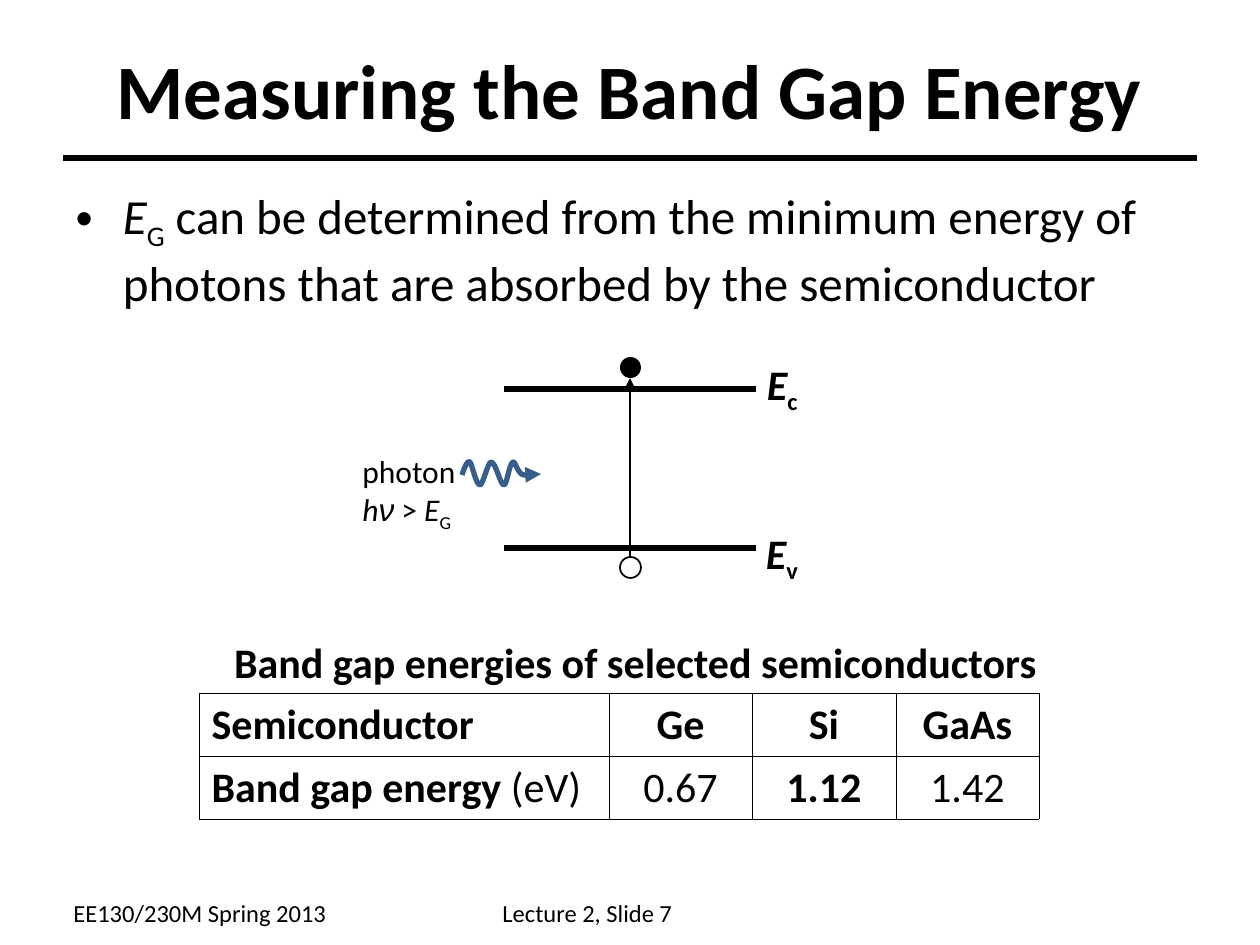
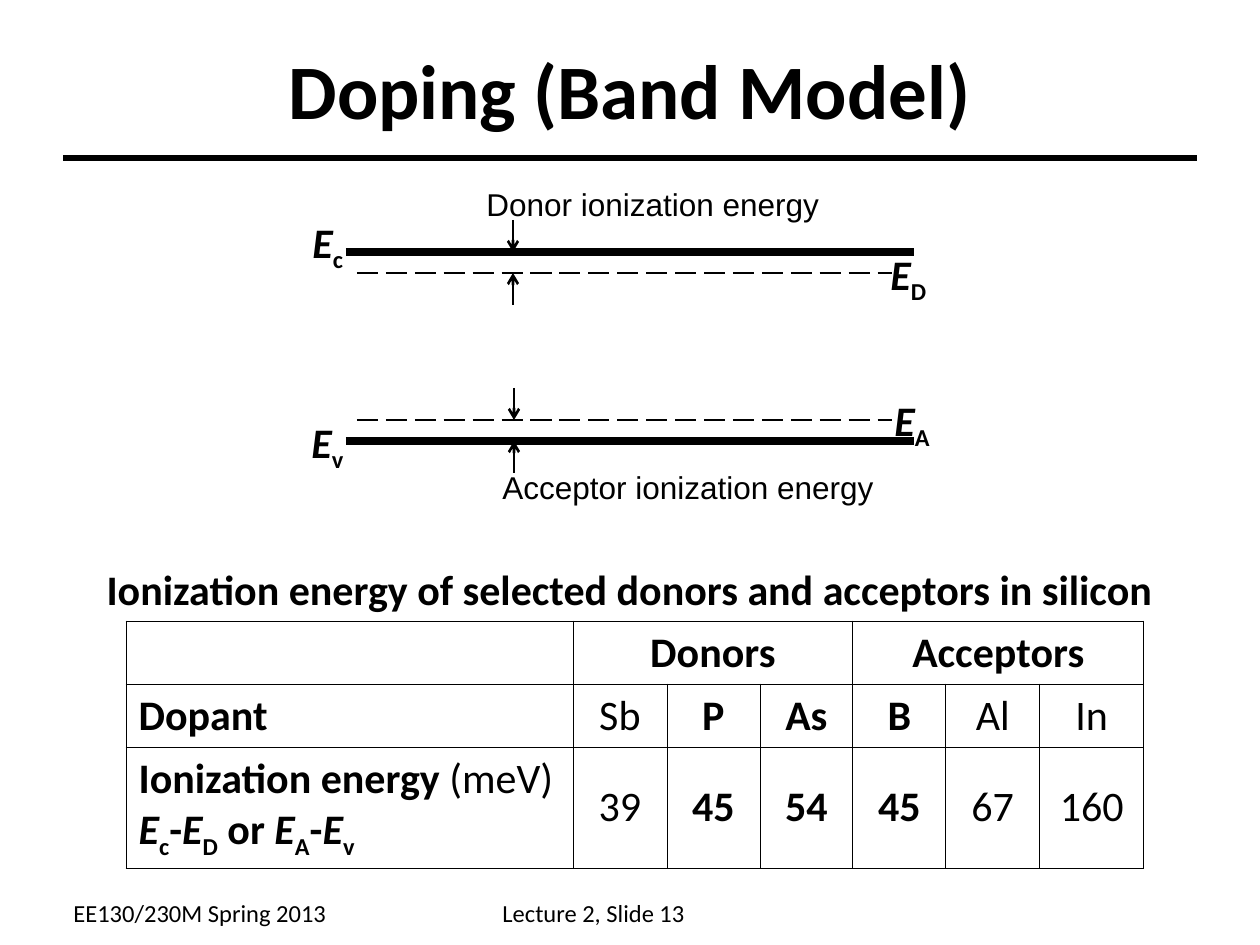
from dataclasses import dataclass
from typing import Optional

from lxml import etree
from pptx import Presentation
from pptx import util as u
from pptx.dml.color import RGBColor
from pptx.enum import dml, shapes, text
from pptx.oxml import ns

PX = 914400 / 126


@dataclass(frozen=True)
class Theme:
    ink: RGBColor = RGBColor(0, 0, 0)
    paper: RGBColor = RGBColor(255, 255, 255)
    photon: RGBColor = RGBColor(0x38, 0x5D, 0x8A)
    font: str = "Calibri"
    plain_font: str = "Arial"
    title: int = 44
    body: int = 28
    label: int = 24
    note: int = 18
    footer: int = 14
    cell_border: float = 0.45


@dataclass(frozen=True)
class Run:
    text: str
    bold: Optional[bool] = None
    italic: Optional[bool] = None
    subscript: bool = False
    font: Optional[str] = None


THEME = Theme()


def px(*lengths):
    return [u.Emu(round(length * PX)) for length in lengths]


def symbol(letter, index):
    return [Run(letter, italic=True), Run(index, subscript=True)]


def write(paragraph, content, size, bold=False, align=text.PP_ALIGN.LEFT, font=THEME.font):
    """Fill a paragraph from a string or a list of strings and Runs."""
    paragraph.alignment = align
    paragraph.font.name = font
    paragraph.font.size = u.Pt(size)
    paragraph.font.bold = bold
    paragraph.font.color.rgb = THEME.ink
    for item in [content] if isinstance(content, str) else content:
        part = Run(item) if isinstance(item, str) else item
        run = paragraph.add_run()
        run.text = part.text
        if part.bold is not None:
            run.font.bold = part.bold
        if part.italic is not None:
            run.font.italic = part.italic
        if part.font:
            run.font.name = part.font
        if part.subscript:
            run._r.get_or_add_rPr().set("baseline", "-25000")


def write_lines(frame, lines, size, **style):
    for number, line in enumerate(lines):
        paragraph = frame.add_paragraph() if number else frame.paragraphs[0]
        write(paragraph, line, size, **style)


def add_text(slide, box, lines, size, wrap=False, inset=True, **style):
    frame = slide.shapes.add_textbox(*px(*box)).text_frame
    frame.word_wrap = wrap
    frame.auto_size = text.MSO_AUTO_SIZE.SHAPE_TO_FIT_TEXT
    if not inset:
        frame.margin_left = frame.margin_right = 0
        frame.margin_top = frame.margin_bottom = 0
    write_lines(frame, lines, size, **style)


def fill_placeholder(placeholder, box, content, size, **style):
    placeholder.left, placeholder.top, placeholder.width, placeholder.height = px(*box)
    frame = placeholder.text_frame
    frame.auto_size = text.MSO_AUTO_SIZE.NONE
    paragraph = frame.paragraphs[0]
    paragraph.space_before = u.Pt(0)
    write(paragraph, content, size, **style)


def style_line(line, color, width, arrow=None, dash=None):
    line.color.rgb = color
    line.width = u.Pt(width)
    if dash:
        line.dash_style = dash
    if arrow:
        etree.SubElement(line._get_or_add_ln(), ns.qn("a:tailEnd"), type=arrow)


def add_line(slide, start, end, width, arrow=None, dash=None):
    connector = slide.shapes.add_connector(
        shapes.MSO_CONNECTOR.STRAIGHT, *px(*start, *end))
    style_line(connector.line, THEME.ink, width, arrow, dash)
    etree.SubElement(connector._element.spPr, ns.qn("a:effectLst"))


def add_carrier(slide, x, y, filled):
    """Draw an electron (filled) or a hole (open)."""
    carrier = slide.shapes.add_shape(shapes.MSO_SHAPE.OVAL, *px(x, y, 21, 21))
    carrier.shadow.inherit = False
    carrier.fill.solid()
    carrier.fill.fore_color.rgb = THEME.ink if filled else THEME.paper
    if filled:
        carrier.line.fill.background()
    else:
        style_line(carrier.line, THEME.ink, 1)


def bezier(start, first, second, end, steps=8):
    """Return points along a cubic curve, leaving out its start."""
    points = []
    for step in range(1, steps + 1):
        t = step / steps
        s = 1 - t
        points.append(px(*(
            s**3 * a + 3 * s * s * t * b + 3 * s * t * t * c + t**3 * d
            for a, b, c, d in zip(start, first, second, end))))
    return points


def add_photon_wave(slide):
    start = (462, 475)
    curves = [
        ((464, 469), (467, 460), (470, 462)),
        ((472, 464), (476, 485), (480, 485)),
        ((483, 485), (488, 462), (491, 462)),
        ((496, 462), (500, 485), (504, 485)),
        ((507, 485), (509, 464), (513, 462)),
        ((515, 460), (518, 475), (524, 475)),
        ((532, 474), (533, 475), (541, 474)),
    ]
    builder = slide.shapes.build_freeform(*px(*start))
    for first, second, end in curves:
        builder.add_line_segments(bezier(start, first, second, end), close=False)
        start = end
    wave = builder.convert_to_shape()
    wave.shadow.inherit = False
    wave.fill.background()
    style_line(wave.line, THEME.photon, 3, arrow="triangle")


def border_cell(cell):
    properties = cell._tc.get_or_add_tcPr()
    for side in ("lnL", "lnR", "lnT", "lnB"):
        line = etree.SubElement(properties, ns.qn(f"a:{side}"),
                                w=str(u.Pt(THEME.cell_border)))
        fill = etree.SubElement(line, ns.qn("a:solidFill"))
        etree.SubElement(fill, ns.qn("a:srgbClr"), val=str(THEME.ink))


def add_grid(slide, left, top, widths, heights, rows, bold_cells, merges=()):
    """Add a table; each cell is a list of lines, or None where it is empty."""
    table = slide.shapes.add_table(
        len(heights), len(widths), *px(left, top, sum(widths), sum(heights))).table
    table.first_row = table.horz_banding = False
    for column, width in zip(table.columns, px(*widths)):
        column.width = width
    for row, height in zip(table.rows, px(*heights)):
        row.height = height
    for r, row in enumerate(rows):
        for c, lines in enumerate(row):
            cell = table.cell(r, c)
            border_cell(cell)
            cell.fill.background()
            cell.vertical_anchor = text.MSO_ANCHOR.MIDDLE
            if lines:
                align = text.PP_ALIGN.CENTER if c else text.PP_ALIGN.LEFT
                write_lines(cell.text_frame, lines, THEME.label,
                            bold=c == 0 or (r, c) in bold_cells, align=align)
    for r, first, last in merges:
        table.cell(r, first).merge(table.cell(r, last))


def add_base_slide(presentation, layout, title, title_box, number):
    slide = presentation.slides.add_slide(presentation.slide_layouts.get_by_name(layout))
    add_line(slide, (63, 158), (1197, 158), 3)
    fill_placeholder(slide.shapes.title, title_box, title, THEME.title,
                     bold=True, align=text.PP_ALIGN.CENTER)
    add_text(slide, (61, 892, 280, 43), ["EE130/230M Spring 2013"], THEME.footer)
    add_text(slide, (490, 892, 286, 43), [f"Lecture 2, Slide {number}"], THEME.footer)
    return slide


def add_caption(slide, box, caption):
    add_text(slide, box, [caption], THEME.label, wrap=True, bold=True,
             align=text.PP_ALIGN.CENTER)


def build_band_gap_slide(presentation):
    slide = add_base_slide(presentation, "Title and Content",
                           "Measuring the Band Gap Energy", (63, 10, 1134, 158), 7)
    fill_placeholder(
        slide.placeholders[1], (63, 179, 1134, 665),
        [*symbol("E", "G"), " can be determined from the minimum energy of photons "
         "that are absorbed by the semiconductor"], THEME.body)

    for y in (389, 548):
        add_line(slide, (504, y), (756, y), 3)
    for index, x, y in (("c", 767, 358), ("v", 766, 527)):
        add_text(slide, (x, y, 40, 58), [symbol("E", index)], THEME.label,
                 inset=False, bold=True)
    add_carrier(slide, 620, 357, filled=True)
    add_carrier(slide, 620, 557, filled=False)
    add_line(slide, (630, 557), (630, 378), 1.5, arrow="triangle")
    add_photon_wave(slide)
    add_text(slide, (350, 446, 124, 93), [
        "photon",
        [Run("h", italic=True), Run("ν", italic=True, font=THEME.plain_font),
         " > ", *symbol("E", "G")],
    ], THEME.note)

    add_caption(slide, (168, 630, 935, 63), "Band gap energies of selected semiconductors")
    add_grid(slide, 199, 693, [410, 143, 144, 143], [63] * 2, [
        [["Semiconductor"], ["Ge"], ["Si"], ["GaAs"]],
        [[["Band gap energy ", Run("(eV)", bold=False)]], ["0.67"], ["1.12"], ["1.42"]],
    ], bold_cells={(0, 1), (0, 2), (0, 3), (1, 2)})


def build_doping_slide(presentation):
    slide = add_base_slide(presentation, "Title Only", "Doping (Band Model)",
                           (0, 10, 1260, 158), 13)
    for band_y, level_y in ((252, 273), (441, 420)):
        add_line(slide, (346, band_y), (914, band_y), 4.5)
        add_line(slide, (357, level_y), (892, level_y), 1.5,
                 dash=dml.MSO_LINE.LONG_DASH)
    for x, upper_y, lower_y in ((513, 252, 273), (514, 420, 441)):
        add_line(slide, (x, upper_y - 32), (x, upper_y), 1.5, arrow="arrow")
        add_line(slide, (x, lower_y + 32), (x, lower_y), 1.5, arrow="arrow")
    for index, x, y in (("c", 300, 210), ("v", 299, 410),
                        ("D", 878, 242), ("A", 882, 388)):
        add_text(slide, (x, y, 70, 71), [symbol("E", index)], THEME.label, bold=True)
    add_text(slide, (474, 179, 362, 50), ["Donor ionization energy"],
             THEME.note, font=THEME.plain_font)
    add_text(slide, (490, 462, 400, 50), ["Acceptor ionization energy"],
             THEME.note, font=THEME.plain_font)

    add_caption(slide, (73, 557, 1113, 63),
                "Ionization energy of selected donors and acceptors in silicon")
    energy_label = [
        ["Ionization energy ", Run("(meV)", bold=False)],
        [*symbol("E", "c"), "-", *symbol("E", "D"), " or ",
         *symbol("E", "A"), "-", *symbol("E", "v")],
    ]
    add_grid(slide, 126, 621, [447, 94, 93, 93, 93, 94, 104], [63, 63, 121], [
        [None, ["Donors"], None, None, ["Acceptors"], None, None],
        [["Dopant"], ["Sb"], ["P"], ["As"], ["B"], ["Al"], ["In"]],
        [energy_label, ["39"], ["45"], ["54"], ["45"], ["67"], ["160"]],
    ], bold_cells={(0, 1), (0, 4), *((r, c) for r in (1, 2) for c in (2, 3, 4))},
        merges=[(0, 1, 3), (0, 4, 6)])


def main():
    presentation = Presentation()
    presentation.slide_width, presentation.slide_height = px(1260, 945)
    build_band_gap_slide(presentation)
    build_doping_slide(presentation)
    presentation.save("out.pptx")


if __name__ == "__main__":
    main()
